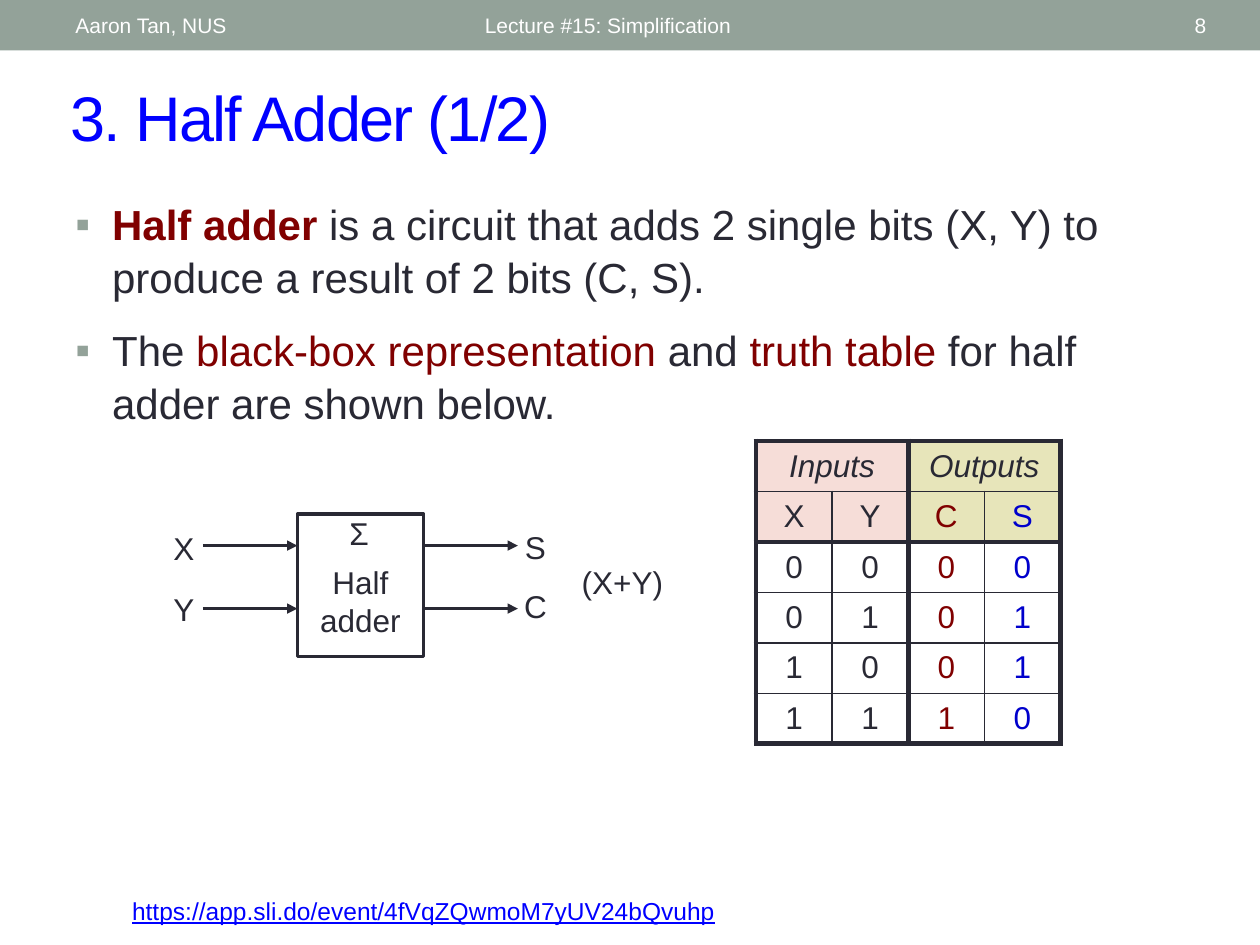
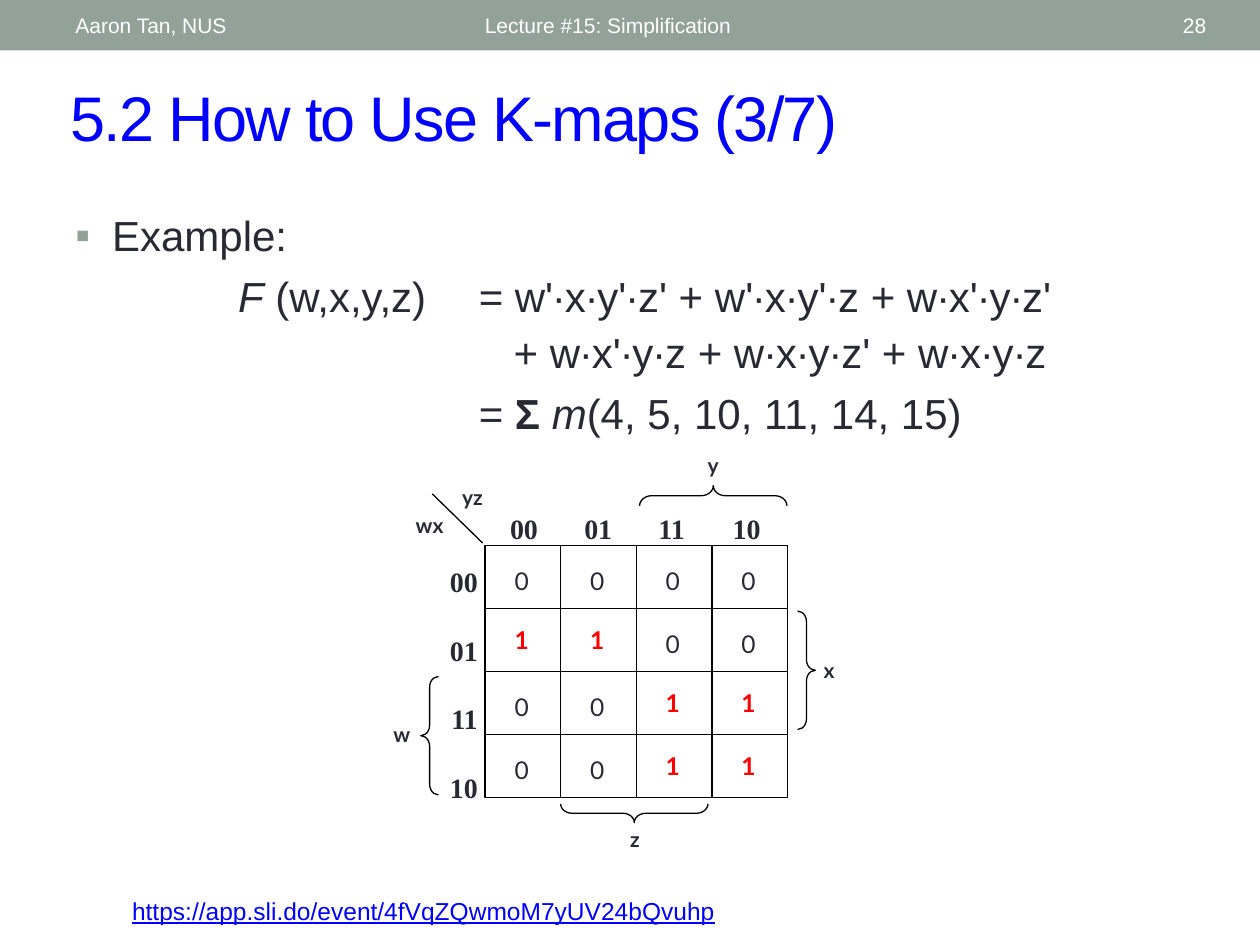
"""Build two lecture slides: the half adder and a K-map example."""
import pptx
import pptx.dml.color
import pptx.enum.shapes
import pptx.enum.text
import pptx.oxml
import pptx.oxml.ns
import pptx.util

Pt = pptx.util.Pt
RGB = pptx.dml.color.RGBColor.from_string
ALIGN = pptx.enum.text.PP_ALIGN
MIDDLE = pptx.enum.text.MSO_ANCHOR.MIDDLE
SHAPE = pptx.enum.shapes.MSO_SHAPE
STRAIGHT = pptx.enum.shapes.MSO_CONNECTOR.STRAIGHT
NS = pptx.oxml.ns.nsdecls("a")

COLORS = {
    "band": "93A299", "white": "FFFFFF", "title": "0000FF", "ink": "292934",
    "maroon": "800000", "blue": "0000CC", "red": "FF0000", "black": "000000",
    "inputs": "F6DDD8", "outputs": "E7E5BA",
}
BODY = {"name": "Arial", "size": Pt(24), "color": "ink"}
LABEL = BODY | {"size": Pt(18)}
FOOTER = {"name": "Arial", "size": Pt(12), "color": "white"}
LINK = {"name": "Arial", "size": Pt(14), "color": "title", "underline": True}
HEADING = {"name": "Arial", "size": Pt(36), "color": "title"}
MAP_VALUE = {"name": "Lato", "size": Pt(14), "color": "ink"}
MAP_NAME = {"name": "Lato", "size": Pt(12), "color": "ink", "bold": True}
MAP_CODE = {"name": "Times New Roman", "size": Pt(16), "color": "ink", "bold": True}


def add_runs(p, runs, base):
    for text, changes in runs:
        r = p.add_run()
        r.text = text
        values = base | changes
        r.font.color.rgb = RGB(COLORS[values.pop("color")])
        for key, value in values.items():
            setattr(r.font, key, value)


def add_text(s, box, paragraphs, base, align=ALIGN.LEFT):
    tf = s.shapes.add_textbox(*map(Pt, box)).text_frame
    tf.word_wrap = True
    for i, runs in enumerate(paragraphs):
        p = tf.paragraphs[0] if i == 0 else tf.add_paragraph()
        p.alignment = align
        add_runs(p, [(runs, {})] if isinstance(runs, str) else runs, base)
    return tf


prs = pptx.Presentation()
prs.slide_width, prs.slide_height = Pt(720), Pt(540)

slides = []
for title, number in [("3. Half Adder (1/2)", "8"), ("5.2 How to Use K-maps (3/7)", "28")]:
    s = prs.slides.add_slide(prs.slide_layouts[5])
    slides.append(s)
    band = s.shapes.add_shape(SHAPE.RECTANGLE, 0, 0, Pt(720), Pt(28.8))
    band.shadow.inherit = False
    band.fill.solid()
    band.fill.fore_color.rgb = RGB(COLORS["band"])
    band.line.fill.background()

    sp = s.shapes.title
    sp.left, sp.top, sp.width, sp.height = map(Pt, (33.1, 41, 653, 50.4))
    tf = sp.text_frame
    tf.auto_size = pptx.enum.text.MSO_AUTO_SIZE.NONE
    tf.vertical_anchor = MIDDLE
    p = tf.paragraphs[0]
    p.alignment = ALIGN.LEFT
    add_runs(p, [(title, {})], HEADING)
    p.runs[0].font._element.set("spc", "-100")

    for text, left, width, align in [
        ("Lecture #15: Simplification", 270, 324, ALIGN.LEFT),
        (number, 628, 68.4, ALIGN.RIGHT),
        ("Aaron Tan, NUS", 36, 228, ALIGN.LEFT),
    ]:
        add_text(s, (left, 1.4, width, 26), [text], FOOTER, align).vertical_anchor = MIDDLE
    add_text(s, (68.4, 508.3, 468, 24.5),
             ["https://app.sli.do/event/4fVqZQwmoM7yUV24bQvuhp"], LINK)

adder, kmap = slides
maroon, italic = {"color": "maroon"}, {"italic": True}
adder_text = add_text(adder, (36, 109, 636, 155), [
    [("Half adder", maroon | {"bold": True}),
     (" is a circuit that adds 2 single bits (X, Y) to produce a result of 2 bits (C, S).", {})],
    [("The ", {}), ("black-box representation", maroon), (" and ", {}),
     ("truth table", maroon), (" for half adder are shown below.", {})],
], BODY)
example_text = add_text(kmap, (36, 115, 648, 151), [
    "Example:",
    [("\tF", italic), (" (w,x,y,z)\t= w'∙x∙y'∙z' + w'∙x∙y'∙z + w∙x'∙y∙z'", {})],
    "\t+ w∙x'∙y∙z + w∙x∙y∙z' + w∙x∙y∙z",
    [("\t= ", {}), ("Σ ", {"bold": True}), ("m", italic), ("(4, 5, 10, 11, 14, 15)", {})],
], BODY)
code_text = add_text(kmap, (284.4, 288.7, 161.3, 28.8), ["00\t01\t11\t10"], MAP_CODE)

for p in adder_text.paragraphs + example_text.paragraphs[:1]:
    pPr = p._p.get_or_add_pPr()
    pPr.set("marL", str(Pt(21)))
    pPr.set("indent", str(-Pt(21)))
    for xml in [f'<a:buClr {NS}><a:srgbClr val="{COLORS["band"]}"/></a:buClr>',
                f'<a:buFont {NS} typeface="Arial"/>',
                f'<a:buChar {NS} char="▪"/>']:
        pPr.append(pptx.oxml.parse_xml(xml))

tab_stops = [(93, 230.5), (250.5,), (230.5,), [42.4 * i for i in (1, 2, 3)]]
for p, stops in zip(example_text.paragraphs[1:] + code_text.paragraphs, tab_stops):
    tabs = "".join(f'<a:tab pos="{Pt(stop)}" algn="l"/>' for stop in stops)
    p._p.get_or_add_pPr().append(pptx.oxml.parse_xml(f"<a:tabLst {NS}>{tabs}</a:tabLst>"))

for tf, gaps in [(adder_text, (0, 12)), (example_text, (0, 4.8, 2.4, 4.8))]:
    for p, gap in zip(tf.paragraphs, gaps):
        p.line_spacing = 1.04
        p.space_before = Pt(gap)

rows = [("Inputs", "", "Outputs", ""), "XYCS", "0000", "0101", "1001", "1110"]
table = adder.shapes.add_table(6, 4, Pt(432), Pt(252), Pt(174), Pt(172.8)).table
table.first_row = table.horz_banding = False
for row in table.rows:
    row.height = Pt(28.8)
for column in table.columns:
    column.width = Pt(43.5)
for column in (0, 2):
    table.cell(0, column).merge(table.cell(0, column + 1))
for i, row in enumerate(rows):
    for j, text in enumerate(row):
        cell = table.cell(i, j)
        thick = {"L": j % 2 == 0, "R": j % 2 == 1 or i == 0, "T": i in (0, 2), "B": i in (1, 5)}
        for side, heavy in thick.items():
            cell._tc.get_or_add_tcPr().append(pptx.oxml.parse_xml(
                f'<a:ln{side} {NS} w="{Pt(3 if heavy else 1)}"><a:solidFill>'
                f'<a:srgbClr val="{COLORS["ink"]}"/></a:solidFill></a:ln{side}>'))
        if i < 2:
            cell.fill.solid()
            cell.fill.fore_color.rgb = RGB(COLORS["inputs" if j < 2 else "outputs"])
        else:
            cell.fill.background()
        if text:
            cell.vertical_anchor = MIDDLE
            cell.margin_left = cell.margin_right = Pt(3)
            p = cell.text_frame.paragraphs[0]
            p.alignment = ALIGN.CENTER
            color = ("ink", "ink", "maroon", "blue")[j] if i else "ink"
            add_runs(p, [(text, {"color": color, "italic": i == 0})], LABEL)

for text, left, top, width, height in [
    ("Half adder", 170, 318.2, 72, 53), ("Σ", 182.2, 290.2, 46, 31.7),
    ("X", 90, 298.8, 30.2, 28.8), ("Y", 90, 333.4, 30.2, 28.8),
    ("S", 290.9, 298, 30.2, 28.8), ("C", 290.9, 332, 30.2, 28.8),
    ("(X+Y)", 319.7, 318.2, 72, 28.8),
]:
    add_text(adder, (left, top, width, height), [text], LABEL, ALIGN.CENTER)

map_left, map_top, cell_width, cell_height = 277.2, 311.8, 43.2, 36
map_right, map_bottom = map_left + 4 * cell_width, map_top + 4 * cell_height
for i, row in enumerate(["0000", "1100", "0011", "0011"]):
    for j, value in enumerate(row):
        one = value == "1"
        style = MAP_VALUE | ({"color": "red", "bold": True} if one else {})
        box = (map_left - 0.7 + j * cell_width, map_top + (5.8 if one else 8) + i * cell_height,
               cell_width, 28.8)
        add_text(kmap, box, [value], style, ALIGN.CENTER)

row_codes = add_text(kmap, (248.4, 319, 31.7, 149), ["00", "01", "11", "10"], MAP_CODE, ALIGN.RIGHT)
for p in row_codes.paragraphs[1:]:
    p.space_before = Pt(20)
for text, left, top, width in [
    ("w", 213.8, 409, 31.7), ("x", 458, 372.2, 31.7), ("y", 391.7, 254.9, 31.7),
    ("z", 347, 468.7, 31.7), ("wx", 226.8, 289.4, 37.4), ("yz", 251.3, 273.6, 37.4),
]:
    add_text(kmap, (left, top, width, 25), [text], MAP_NAME, ALIGN.CENTER)

for s, kind, box, rotation, color, weight in [
    (adder, SHAPE.RECTANGLE, (170, 293.8, 72, 81.4), 0, "ink", 2),
    (kmap, SHAPE.RECTANGLE, (map_left, map_top, 172.8, 144), 0, "black", 0.75),
    (kmap, SHAPE.LEFT_BRACE, (240.5, 386.6, 10.1, 67.7), 0, "black", 0.75),
    (kmap, SHAPE.RIGHT_BRACE, (455.8, 349.2, 10.1, 67.7), 0, "black", 0.75),
    (kmap, SHAPE.LEFT_BRACE, (401.8, 241.2, 11.5, 84.2), 90, "black", 0.75),
    (kmap, SHAPE.LEFT_BRACE, (357.1, 422.6, 10.8, 84.2), 270, "black", 0.75),
]:
    sp = s.shapes.add_shape(kind, *map(Pt, box))
    sp.shadow.inherit = False
    sp.fill.background()
    sp.line.color.rgb = RGB(COLORS[color])
    sp.line.width = Pt(weight)
    sp.rotation = rotation
    if kind != SHAPE.RECTANGLE:
        sp.adjustments[0] = 0.6

wires = [(x, y, x + 54, y) for x in (116, 242) for y in (311.8, 347.8)]
grid = [(275.8, 310.3, 247, 282.2)]
for i in (1, 2, 3):
    x, y = map_left + i * cell_width, map_top + i * cell_height
    grid += [(x, map_top, x, map_bottom), (map_left, y, map_right, y)]
for s, lines, color, weight in [(adder, wires, "ink", 1.5), (kmap, grid, "black", 0.75)]:
    for ends in lines:
        line = s.shapes.add_connector(STRAIGHT, *map(Pt, ends))
        line.line.color.rgb = RGB(COLORS[color])
        line.line.width = Pt(weight)
        if s is adder:
            line.line._get_or_add_ln().append(
                pptx.oxml.parse_xml(f'<a:tailEnd {NS} type="triangle"/>'))
        line._element.spPr.append(pptx.oxml.parse_xml(f"<a:effectLst {NS}/>"))

prs.save("out.pptx")
